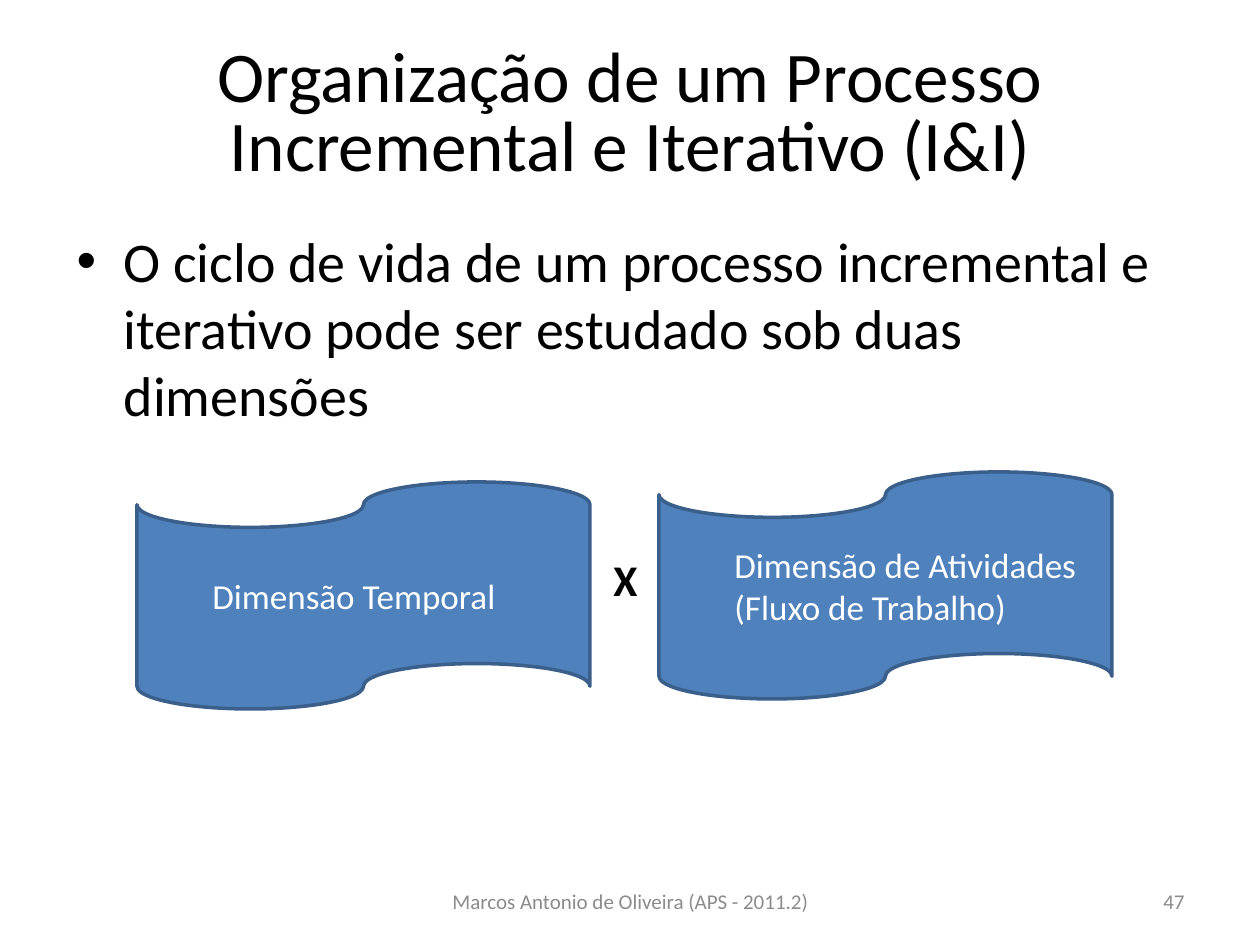
import lxml.etree
import pptx
import pptx.dml.color
import pptx.enum.shapes
import pptx.enum.text
import pptx.oxml.ns
import pptx.util

EMU_PER_PX = 914400 / 126
FONT = "Calibri"
BLACK = pptx.dml.color.RGBColor(0x00, 0x00, 0x00)
WHITE = pptx.dml.color.RGBColor(0xFF, 0xFF, 0xFF)
GRAY = pptx.dml.color.RGBColor(0x8B, 0x8B, 0x8B)
BLUE = pptx.dml.color.RGBColor(0x4F, 0x81, 0xBD)
DARK_BLUE = pptx.dml.color.RGBColor(0x3A, 0x5F, 0x8B)
ALIGN = pptx.enum.text.PP_ALIGN
ANCHOR = pptx.enum.text.MSO_ANCHOR
AUTO_SIZE = pptx.enum.text.MSO_AUTO_SIZE


def px(length):
    return pptx.util.Emu(round(length * EMU_PER_PX))


def place(shape, left, top, width, height):
    shape.left, shape.top = px(left), px(top)
    shape.width, shape.height = px(width), px(height)


def set_indent(paragraph, margin, first_line=0):
    properties = paragraph._p.get_or_add_pPr()
    properties.set("marL", str(px(margin)))
    properties.set("indent", str(px(first_line)))
    return properties


def write(shape, text, size, color, align, anchor, bold=False, wrap=True):
    frame = shape.text_frame
    frame.text = text
    frame.word_wrap = wrap
    frame.auto_size = AUTO_SIZE.NONE if wrap else AUTO_SIZE.SHAPE_TO_FIT_TEXT
    frame.vertical_anchor = anchor
    paragraph = frame.paragraphs[0]
    paragraph.alignment = align
    paragraph.space_before = pptx.util.Pt(0)
    font = paragraph.runs[0].font
    font.name = FONT
    font.size = pptx.util.Pt(size)
    font.bold = bold
    font.color.rgb = color
    return paragraph


def fill_title(slide, text):
    title = slide.shapes.title
    place(title, 63, 38, 1134, 157)
    paragraph = write(title, text, 40.7, BLACK, ALIGN.CENTER, ANCHOR.MIDDLE)
    paragraph.line_spacing = 0.8


def fill_body(slide, text):
    body = slide.placeholders[1]
    place(body, 63, 220, 1134, 624)
    paragraph = write(body, text, 32, BLACK, ALIGN.LEFT, ANCHOR.TOP)
    properties = set_indent(paragraph, 48, -47)
    bullet_font = lxml.etree.SubElement(properties, pptx.oxml.ns.qn("a:buFont"))
    bullet_font.set("typeface", "Arial")
    bullet = lxml.etree.SubElement(properties, pptx.oxml.ns.qn("a:buChar"))
    bullet.set("char", "•")


def add_label(slide, box, text, size, color, align, anchor, bold=False, wrap=True):
    label = slide.shapes.add_textbox(*map(px, box))
    write(label, text, size, color, align, anchor, bold, wrap)


def add_tape(slide, left, top, text):
    tape = slide.shapes.add_shape(
        pptx.enum.shapes.MSO_SHAPE.FLOWCHART_PUNCHED_TAPE,
        px(left), px(top), px(453), px(227))
    tape.shadow.inherit = False
    tape.fill.solid()
    tape.fill.fore_color.rgb = BLUE
    tape.line.color.rgb = DARK_BLUE
    tape.line.width = pptx.util.Pt(2)
    paragraph = write(tape, text, 20, WHITE, ALIGN.LEFT, ANCHOR.MIDDLE)
    set_indent(paragraph, 63)


def main():
    presentation = pptx.Presentation()
    presentation.slide_width = px(1260)
    presentation.slide_height = px(945)
    slide = presentation.slides.add_slide(presentation.slide_layouts[1])

    fill_title(slide, "Organização de um Processo Incremental e Iterativo (I&I)")
    fill_body(slide, "O ciclo de vida de um processo incremental e iterativo "
                     "pode ser estudado sob duas dimensões")
    add_label(slide, (431, 876, 399, 50), "Marcos Antonio de Oliveira (APS - 2011.2)",
              12, GRAY, ALIGN.CENTER, ANCHOR.MIDDLE)
    add_label(slide, (903, 876, 294, 50), "47", 12, GRAY, ALIGN.RIGHT, ANCHOR.MIDDLE)
    add_tape(slide, 137, 482, "Dimensão Temporal")
    add_tape(slide, 659, 472, "Dimensão de Atividades (Fluxo de Trabalho)")
    add_label(slide, (601, 547, 49, 66), "X", 25, BLACK, ALIGN.LEFT, ANCHOR.TOP,
              bold=True, wrap=False)

    presentation.save("out.pptx")


if __name__ == "__main__":
    main()
